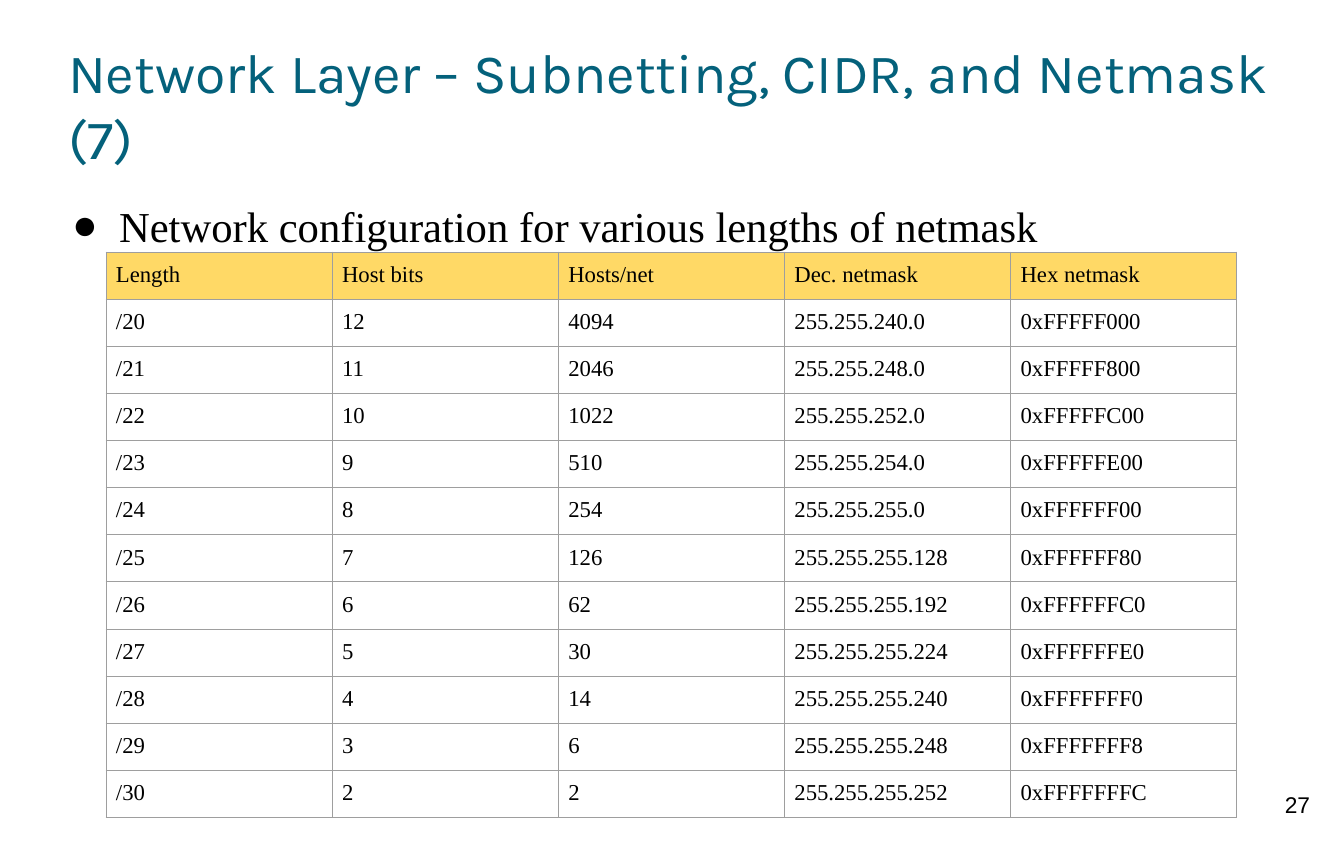
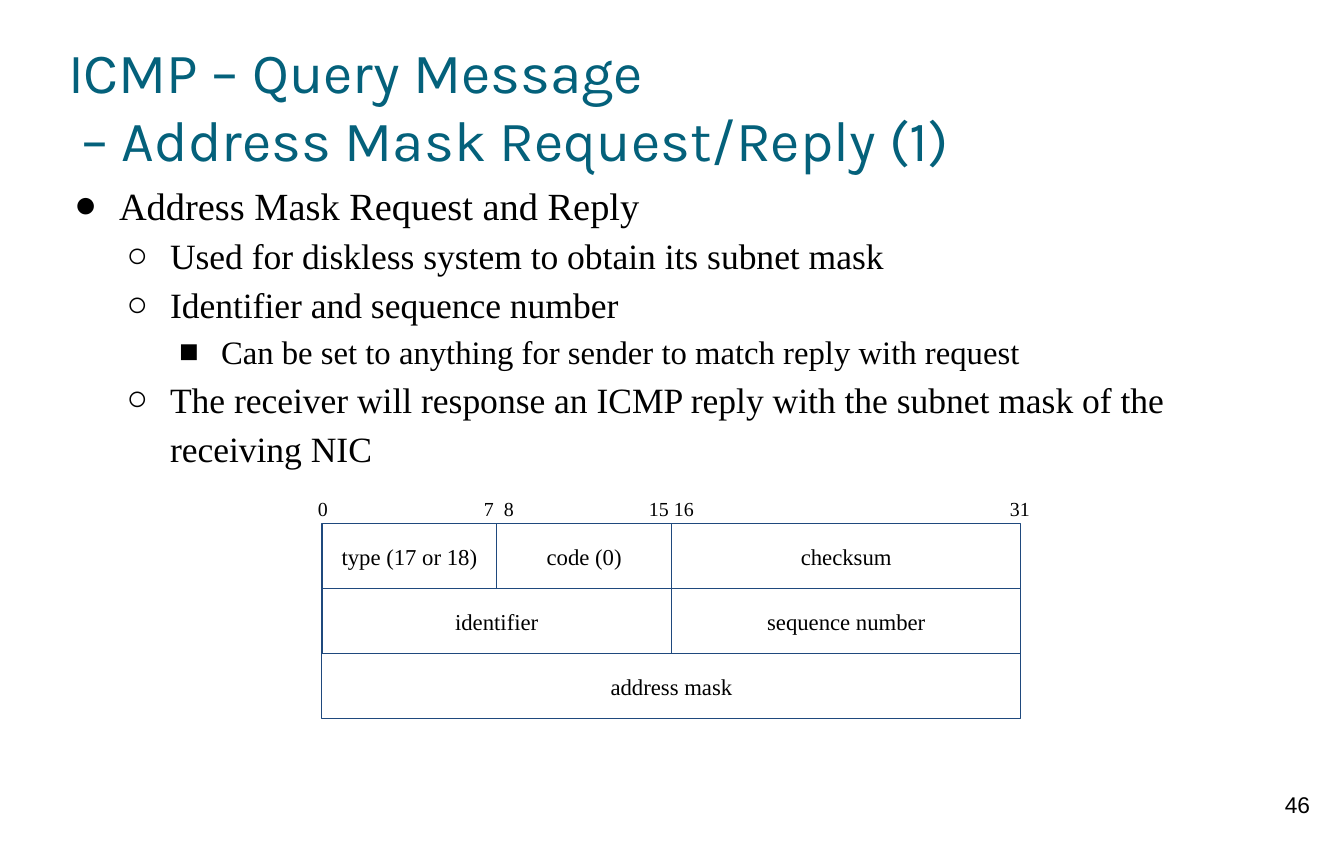
import pptx
import pptx.dml.color
import pptx.enum.shapes
import pptx.enum.text
import pptx.oxml.ns
import pptx.util
from lxml import etree

EMU_PER_PX = 914400 / 102.4
PX_PER_PT = 102.4 / 72
TEAL, BLACK, NAVY, YELLOW, GREY = "04617B", "000000", "1F497D", "FFD966", "9E9E9E"
TITLE_FONT, BODY_FONT, NUMBER_FONT = "Karla", "Times New Roman", "Arial"
LEFT = pptx.enum.text.PP_ALIGN.LEFT
CENTER = pptx.enum.text.PP_ALIGN.CENTER
TOP = pptx.enum.text.MSO_ANCHOR.TOP
MIDDLE = pptx.enum.text.MSO_ANCHOR.MIDDLE
BULLETS = "●○■"
INDENT = 51
INSET = 10


def px(n):
    return pptx.util.Emu(round(n * EMU_PER_PX))


def rgb(color):
    return pptx.dml.color.RGBColor.from_string(color)


def child(parent, tag, **attrs):
    return etree.SubElement(parent, pptx.oxml.ns.qn(tag), attrs)


def write(tf, *lines, size=16, font=BODY_FONT, color=BLACK, align=LEFT,
          anchor=TOP, inset=0):
    """Fill a text frame with one paragraph per line, all in one format."""
    tf.word_wrap = True
    tf.auto_size = pptx.enum.text.MSO_AUTO_SIZE.NONE
    tf.vertical_anchor = anchor
    tf.margin_left = tf.margin_right = px(inset)
    tf.margin_top = tf.margin_bottom = px(inset)
    for i, line in enumerate(lines):
        p = tf.paragraphs[0] if i == 0 else tf.add_paragraph()
        p.alignment = align
        add_run(p, line, size, font, color)


def add_run(p, text, size, font=BODY_FONT, color=BLACK):
    r = p.add_run()
    r.text = text
    r.font.size = pptx.util.Pt(size)
    r.font.name = font
    r.font.color.rgb = rgb(color)


def textbox(s, x, y, w, h, *lines, **fmt):
    sp = s.shapes.add_textbox(px(x), px(y), px(w), px(h))
    write(sp.text_frame, *lines, **fmt)
    return sp


def new_slide(prs, number, *title, size):
    """Add a slide with its title and page number."""
    s = prs.slides.add_slide(prs.slide_layouts[5])
    sp = s.shapes.title
    sp.left, sp.top, sp.width, sp.height = px(68), px(34), px(1209), px(141)
    write(sp.text_frame, *title, size=size, font=TITLE_FONT, color=TEAL, anchor=MIDDLE)
    textbox(s, 1257, 781, 81, 65, str(number), font=NUMBER_FONT, align=CENTER, inset=INSET)
    return s


def bullet_list(s, y, items, sizes):
    """Add (level, text) items; sizes holds the text size of each level."""
    tf = textbox(s, 68, y, 1212, 634).text_frame
    for i, (level, text) in enumerate(items):
        p = tf.paragraphs[0] if i == 0 else tf.add_paragraph()
        p.level = level
        p.line_spacing = 1.15
        hang = (18 + sizes[level] / 2) * PX_PER_PT
        pPr = p._p.get_or_add_pPr()
        pPr.set("marL", str(px(INDENT * (level + 1))))
        pPr.set("indent", str(-px(hang)))
        child(child(pPr, "a:buClr"), "a:srgbClr", val=BLACK)
        child(pPr, "a:buFont", typeface=BODY_FONT)
        child(pPr, "a:buChar", char=BULLETS[level])
        add_run(p, text, sizes[level])


def border(cell, color):
    tcPr = cell._tc.get_or_add_tcPr()
    for side in ("a:lnL", "a:lnR", "a:lnT", "a:lnB"):
        ln = child(tcPr, side, w=str(pptx.util.Pt(0.75)))
        child(child(ln, "a:solidFill"), "a:srgbClr", val=color)


def table(s, x, y, w, h, rows):
    tbl = s.shapes.add_table(len(rows), len(rows[0]), px(x), px(y), px(w), px(h)).table
    tbl.first_row = tbl.horz_banding = False
    for i, row in enumerate(rows):
        for j, text in enumerate(row):
            cell = tbl.cell(i, j)
            border(cell, GREY)
            if i == 0:
                cell.fill.solid()
                cell.fill.fore_color.rgb = rgb(YELLOW)
            else:
                cell.fill.background()
            cell.margin_left = cell.margin_right = px(INSET)
            cell.margin_top = cell.margin_bottom = px(INSET)
            add_run(cell.text_frame.paragraphs[0], text, 16)


def netmask_row(length):
    host_bits = 32 - length
    mask = 2 ** 32 - 2 ** host_bits
    dotted = ".".join(str(mask >> shift & 255) for shift in (24, 16, 8, 0))
    return [f"/{length}", str(host_bits), str(2 ** host_bits - 2), dotted, f"0x{mask:08X}"]


def field(s, x, y, w, h, text):
    """Add one outlined field of the message layout."""
    sp = s.shapes.add_shape(pptx.enum.shapes.MSO_SHAPE.RECTANGLE, px(x), px(y), px(w), px(h))
    sp.shadow.inherit = False
    sp.fill.background()
    sp.line.color.rgb = rgb(NAVY)
    sp.line.width = pptx.util.Pt(0.75)
    write(sp.text_frame, text, align=CENTER, anchor=MIDDLE, inset=INSET)


def message_layout(s, left, top, width, row_height, rows, bit_centers):
    """Draw rows of (bits, text) fields, 32 bits wide, below the bit numbers."""
    for i, row in enumerate(rows):
        start = 0
        for bits, text in row:
            field(s, left + start * width / 32, top + i * row_height,
                  bits * width / 32, row_height, text)
            start += bits
    for bit, center in bit_centers.items():
        textbox(s, center - 20, top - 27, 40, 25, str(bit), size=14, align=CENTER)


def netmask_slide(prs):
    s = new_slide(prs, 27, "Network Layer – Subnetting, CIDR, and Netmask (7)", size=39)
    bullet_list(s, 192, [(0, "Network configuration for various lengths of netmask")], [30])
    header = ["Length", "Host bits", "Hosts/net", "Dec. netmask", "Hex netmask"]
    table(s, 106, 252, 1131, 566, [header] + [netmask_row(n) for n in range(20, 31)])


def address_mask_slide(prs):
    s = new_slide(prs, 46, "ICMP – Query Message", " – Address Mask Request/Reply (1)", size=40)
    bullet_list(s, 175, [
        (0, "Address Mask Request and Reply"),
        (1, "Used for diskless system to obtain its subnet mask"),
        (1, "Identifier and sequence number"),
        (2, "Can be set to anything for sender to match reply with request"),
        (1, "The receiver will response an ICMP reply with the subnet mask of the receiving NIC"),
    ], [27, 25, 23])
    rows = [
        [(8, "type (17 or 18)"), (8, "code (0)"), (16, "checksum")],
        [(16, "identifier"), (16, "sequence number")],
        [(32, "address mask")],
    ]
    message_layout(s, 322, 524, 699, 65, rows,
                   {0: 323, 7: 489, 8: 509, 15: 659, 16: 684, 31: 1020})


def main():
    prs = pptx.Presentation()
    prs.slide_width, prs.slide_height = px(1344), px(847)
    netmask_slide(prs)
    address_mask_slide(prs)
    prs.save("out.pptx")


if __name__ == "__main__":
    main()
